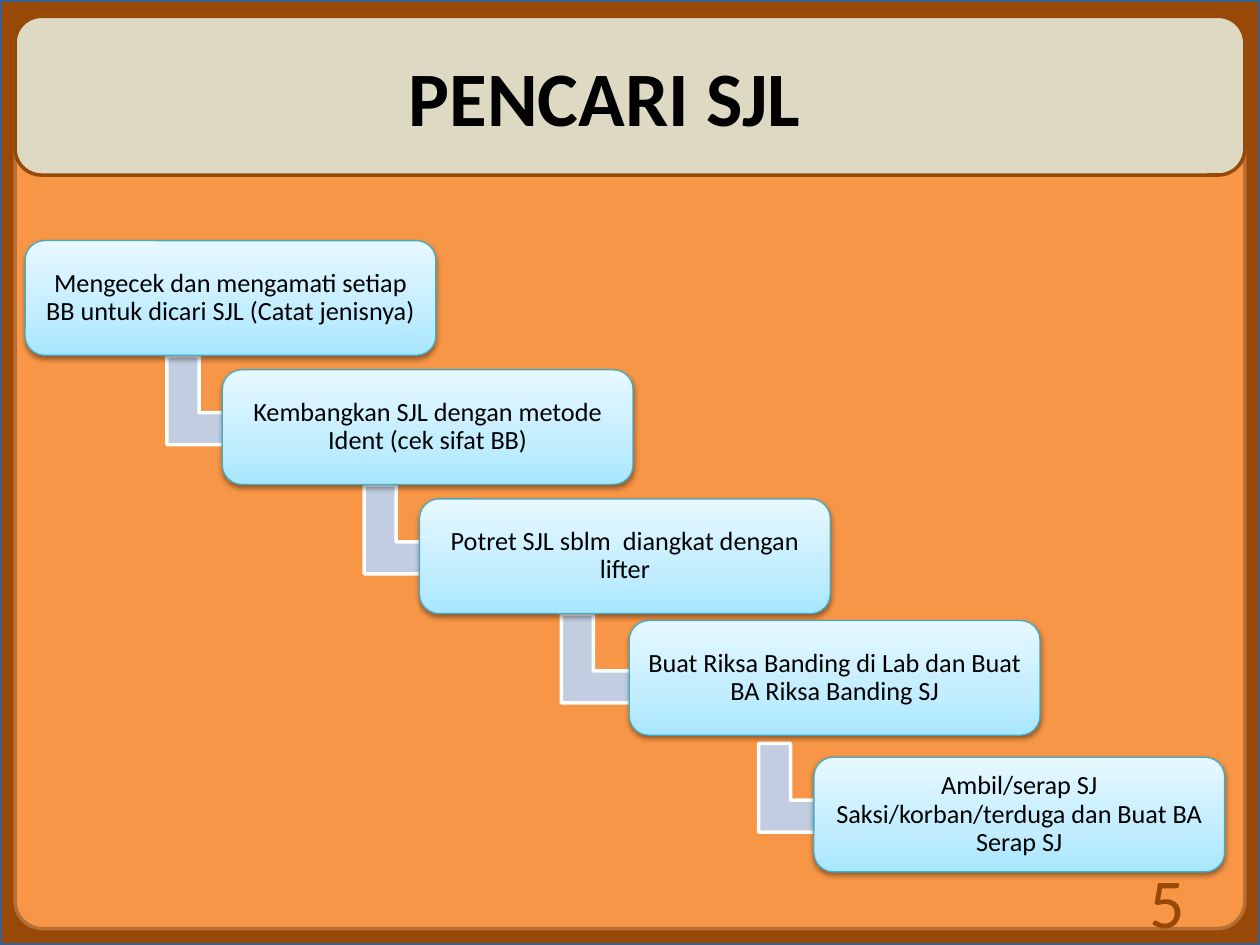
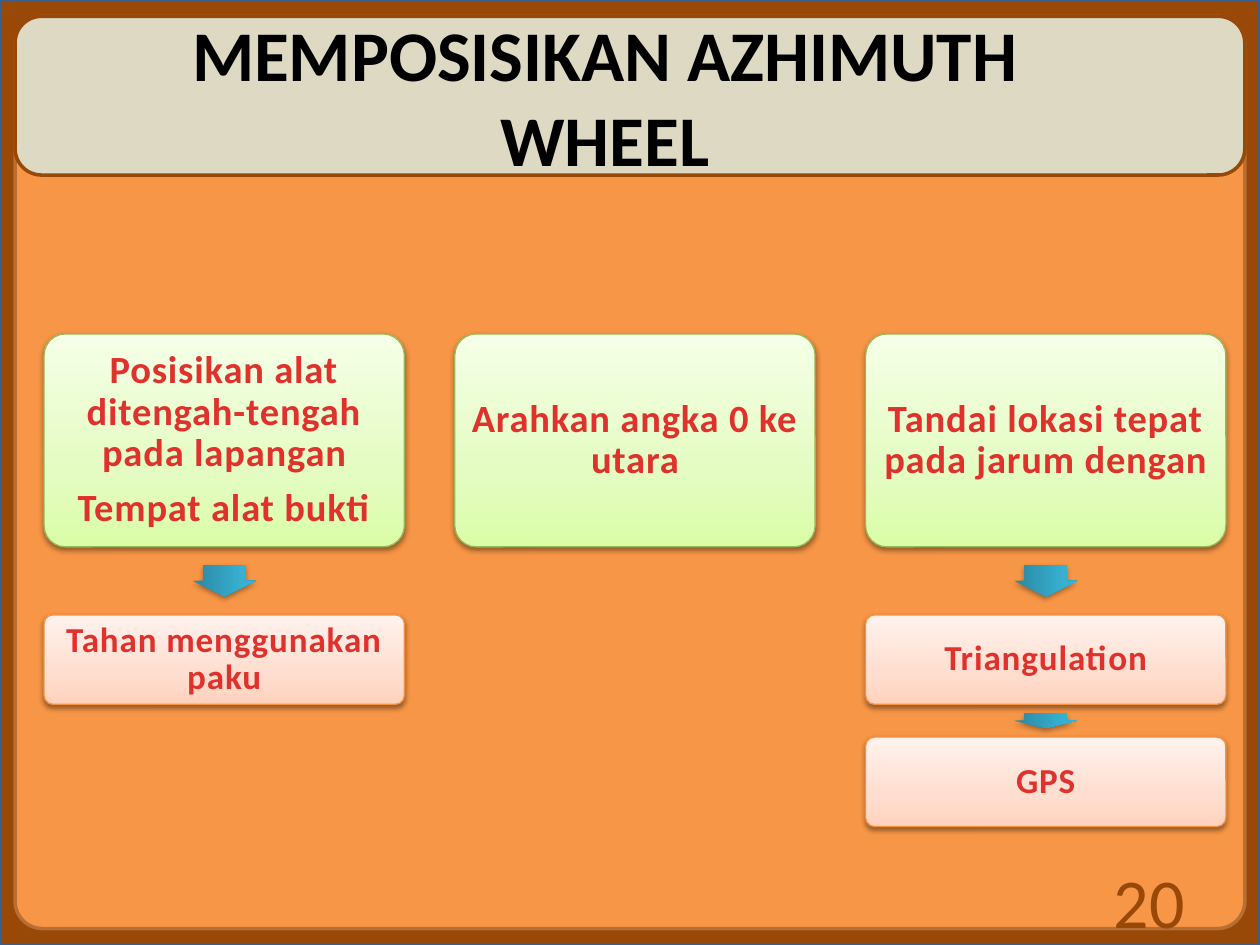
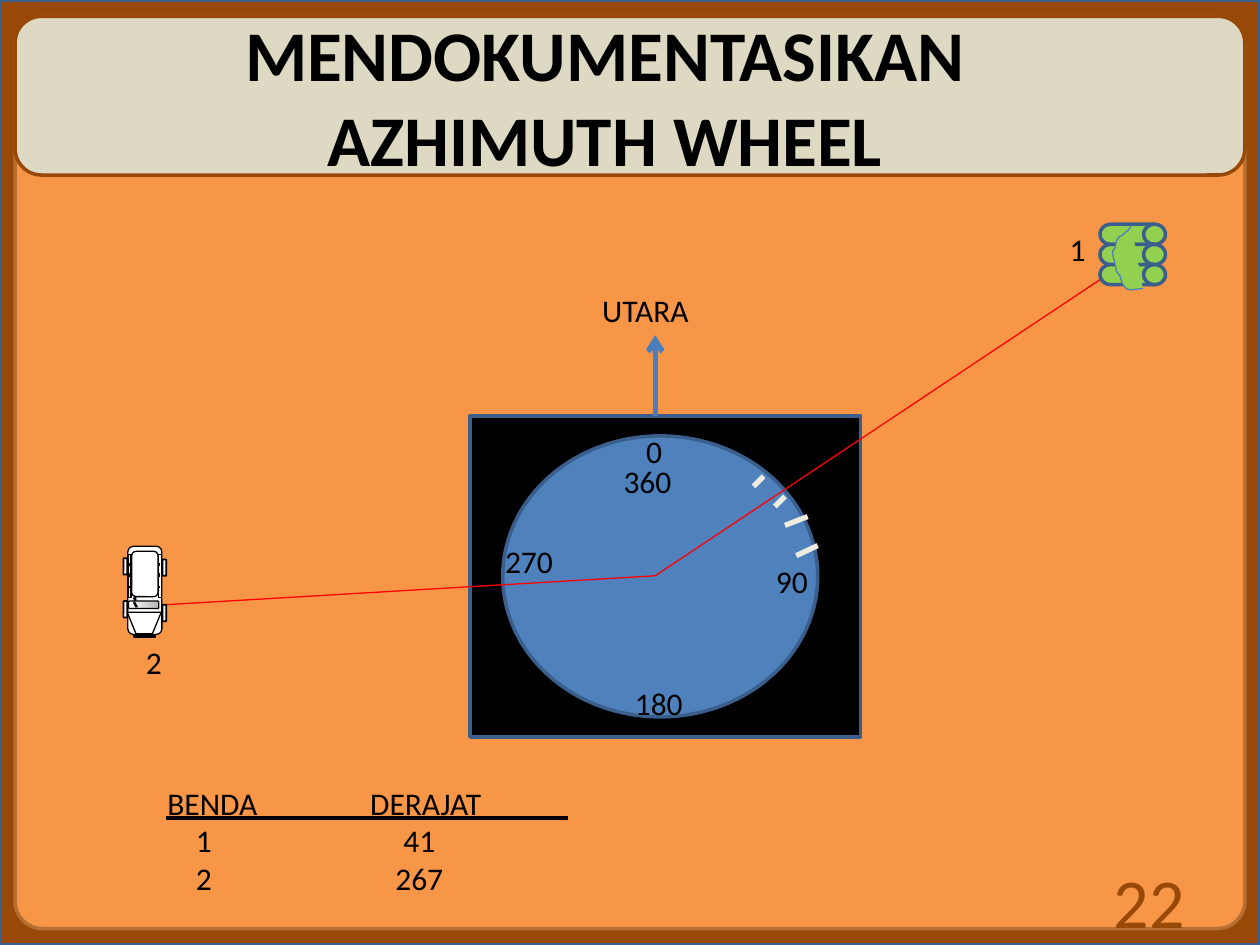
from dataclasses import dataclass

from lxml import etree
from pptx import Presentation
from pptx.dml.color import RGBColor
from pptx.enum.dml import MSO_PATTERN
from pptx.enum.shapes import MSO_CONNECTOR, MSO_SHAPE
from pptx.enum.text import MSO_ANCHOR, MSO_AUTO_SIZE, PP_ALIGN
from pptx.oxml.ns import qn
from pptx.util import Inches, Pt

ROUND, RECT, OVAL = MSO_SHAPE.ROUNDED_RECTANGLE, MSO_SHAPE.RECTANGLE, MSO_SHAPE.OVAL
BENT, ARROW = MSO_SHAPE.BENT_UP_ARROW, MSO_SHAPE.RIGHT_ARROW
DRUM, STAR = MSO_SHAPE.FLOWCHART_DIRECT_ACCESS_STORAGE, MSO_SHAPE.STAR_5_POINT
ZIG_ZAG, STRAIGHT = MSO_PATTERN.ZIG_ZAG, MSO_CONNECTOR.STRAIGHT
CENTER, LEFT, RIGHT = PP_ALIGN.CENTER, PP_ALIGN.LEFT, PP_ALIGN.RIGHT
MIDDLE, TOP = MSO_ANCHOR.MIDDLE, MSO_ANCHOR.TOP


@dataclass(frozen=True)
class Theme:
    font: str = "Calibri"
    black: str = "000000"
    white: str = "FFFFFF"
    brown: str = "984807"
    orange: str = "F79646"
    orange_edge: str = "B76F34"
    sand: str = "DDD9C3"
    cream: str = "EEECE1"
    navy: str = "3A5F8C"
    blue: str = "4F81BD"
    blue_line: str = "4B7EBC"
    elbow: str = "C2CDE1"
    red: str = "FF0000"
    star: str = "ED1332"
    green: str = "92D050"
    card_text: str = "E0322D"
    aqua_edge: str = "46AAC5"
    lime_edge: str = "98B955"
    peach_edge: str = "F69240"
    aqua: tuple = ((0, "A7E6FF"), (35, "C1EDFF"), (100, "E7F8FF"))
    lime: tuple = ((0, "DAFDA7"), (35, "E4FCC2"), (100, "F5FFE7"))
    peach: tuple = ((0, "FFD2BD"), (35, "FFDED0"), (100, "FFF2ED"))
    teal: tuple = ((0, "2A88A2"), (80, "37B1D2"), (100, "34B4D6"))
    glass: tuple = ((0, "FFFFFF"), (100, "B6B6B6"))
    title_size: float = 44
    long_title_size: float = 40.7
    number_size: float = 40
    step_size: float = 15
    head_size: float = 22
    detail_size: float = 20
    label_size: float = 18


THEME = Theme()

# Content
SEARCH_TITLE = "PENCARI SJL"
STEPS = [
    "Mengecek dan mengamati setiap BB untuk dicari SJL (Catat jenisnya)",
    "Kembangkan SJL dengan metode Ident (cek sifat BB)",
    "Potret SJL sblm  diangkat dengan lifter",
    "Buat Riksa Banding di Lab dan Buat BA Riksa Banding SJ",
    "Ambil/serap SJ Saksi/korban/terduga dan Buat BA Serap SJ",
]
POSITION_TITLE = "MEMPOSISIKAN AZHIMUTH WHEEL"
COLUMNS = [
    (["Posisikan alat ditengah-tengah pada lapangan", "Tempat alat bukti"],
     ["Tahan menggunakan paku"]),
    (["Arahkan angka 0 ke utara"], []),
    (["Tandai lokasi tepat pada jarum dengan"], ["Triangulation", "GPS"]),
]
RECORD_TITLE = "MENDOKUMENTASIKAN AZHIMUTH WHEEL"
DIAL_LABELS = [("0", 5.03, 3.38), ("90", 6.06, 4.41), ("180", 4.94, 5.38),
               ("270", 3.91, 4.25), ("360", 4.85, 3.62)]
SCENE_LABELS = [("2", 1.06, 5.05), ("1", 8.39, 1.78), ("UTARA", 4.68, 2.26)]
READINGS = [("BENDA", "DERAJAT"), ("1", "41"), ("2", "267")]

# Drawing data for the wheel slide
DIAL_CENTER = (5.2, 4.57)
SIGHT_LINES = [(8.91, 2.1), (1.3, 4.8)]
DIAL_TICKS = [((5.98, 3.86), (6.06, 3.78)), ((6.15, 4.02), (6.23, 3.94)),
              ((6.23, 4.17), (6.41, 4.1)), ((6.32, 4.41), (6.49, 4.33))]
HOOD = [(1.01, 4.86), (1.08, 5.03), (1.21, 5.03), (1.28, 4.86)]
WHEELS = [(1.24, 4.85), (0.93, 4.82), (1.24, 4.49), (0.93, 4.48)]
WINDOW_BARS = [(4.66, 0.75), (4.56, 2.25), (4.48, 2.25)]
TARP_START = (8.98, 1.79)
TARP_CURVES = [
    ((8.97, 1.8), (8.96, 1.82), (8.95, 1.83)),
    ((8.84, 1.93), (8.93, 1.82), (8.86, 1.91)),
    ((8.86, 1.93), (8.85, 1.95), (8.85, 1.97)),
    ((8.84, 1.98), (8.83, 1.99), (8.83, 2.01)),
    ((8.83, 2.01), (8.86, 2.14), (8.86, 2.15)),
    ((8.87, 2.17), (8.88, 2.18), (8.89, 2.19)),
    ((8.9, 2.23), (8.91, 2.27), (8.94, 2.29)),
    ((8.95, 2.3), (8.97, 2.3), (8.98, 2.3)),
]
TARP_END = (9.07, 2.29)


# Shared helpers
def rgb(value):
    return RGBColor.from_string(value)


def paint(shape, fill, line, width=2, angle=90):
    """Fill with one colour or with gradient stops, and outline the shape."""
    shape.shadow.inherit = False
    if isinstance(fill, str):
        shape.fill.solid()
        shape.fill.fore_color.rgb = rgb(fill)
    else:
        shape.fill.gradient()
        shape.fill.gradient_angle = angle
        stops = shape.element.spPr.find(qn("a:gradFill")).find(qn("a:gsLst"))
        stops.clear()
        for position, color in fill:
            stop = etree.SubElement(stops, qn("a:gs"), pos=str(position * 1000))
            etree.SubElement(stop, qn("a:srgbClr"), val=color)
    if line is None:
        shape.line.fill.background()
    else:
        shape.line.color.rgb = rgb(line)
        shape.line.width = Pt(width)


def add_shape(page, kind, at, fill, line, width=2, adjust=(), turn=0, angle=90):
    shape = page.shapes.add_shape(kind, *map(Inches, at))
    for index, value in enumerate(adjust):
        shape.adjustments[index] = value
    shape.rotation = turn
    paint(shape, fill, line, width, angle)
    return shape


def cast_shadow(shape, opacity=38):
    effects = shape.element.spPr.find(qn("a:effectLst"))
    shadow = etree.SubElement(effects, qn("a:outerShdw"), blurRad=str(Pt(3.1)),
                              dist=str(Pt(1.6)), dir="5400000", rotWithShape="0")
    color = etree.SubElement(shadow, qn("a:srgbClr"), val=THEME.black)
    etree.SubElement(color, qn("a:alpha"), val=str(opacity * 1000))


def add_line(page, start, end, color, width=0.75, arrow=False):
    line = page.shapes.add_connector(STRAIGHT, *map(Inches, start + end))
    line.line.color.rgb = rgb(color)
    line.line.width = Pt(width)
    properties = line.element.spPr
    if arrow:
        etree.SubElement(properties.find(qn("a:ln")), qn("a:tailEnd"), type="arrow")
    etree.SubElement(properties, qn("a:effectLst"))


def add_outline(page, points, fill, line, close):
    corners = [(Inches(x), Inches(y)) for x, y in points]
    builder = page.shapes.build_freeform(*corners[0])
    builder.add_line_segments(corners[1:], close=close)
    paint(builder.convert_to_shape(), fill, line, 0.75)


def write(box, lines, size, color=THEME.black, align=LEFT, anchor=TOP, bold=False,
          wrap=True, margin=None, line_spacing=None, gap=0, tracking=0):
    frame = box.text_frame
    frame.auto_size = MSO_AUTO_SIZE.NONE
    frame.word_wrap = wrap
    frame.vertical_anchor = anchor
    if margin is not None:
        frame.margin_left = frame.margin_right = Inches(margin)
        frame.margin_top = frame.margin_bottom = Inches(margin)
    for index, line in enumerate(lines):
        para = frame.add_paragraph() if index else frame.paragraphs[0]
        para.alignment = align
        if line_spacing:
            para.line_spacing = line_spacing
        if index and gap:
            para.space_before = Pt(gap)
        span = para.add_run()
        span.text = line
        span.font.name = THEME.font
        span.font.size = Pt(size)
        span.font.bold = bold
        span.font.color.rgb = rgb(color)
        if tracking:
            span.font._element.set("spc", str(int(tracking * 100)))


def add_label(page, text, left, top):
    box = page.shapes.add_textbox(*map(Inches, (left, top, 0.3 + 0.13 * len(text), 0.39)))
    write(box, [text], THEME.label_size, wrap=False)


def add_card(page, at, lines, size, fill, edge, adjust, margin, **style):
    card = add_shape(page, ROUND, at, fill, edge, 0.75, [adjust])
    cast_shadow(card)
    write(card, lines, size, align=CENTER, anchor=MIDDLE, margin=margin,
          line_spacing=0.9, **style)


def build_frame(page, layout):
    """Draw the border, panel and title band, then hand them to the layout."""
    parts = [
        add_shape(page, ROUND, (0, 0, 10, 7.5), THEME.brown, THEME.navy, adjust=[0]),
        add_shape(page, ROUND, (0.12, 0.13, 9.76, 7.24), THEME.orange,
                  THEME.orange_edge, adjust=[0.03]),
        add_shape(page, ROUND, (0.12, 0.13, 9.76, 1.26), THEME.sand, THEME.brown),
    ]
    for index, part in enumerate(parts):
        part.element.nvSpPr.cNvPr.set("id", str(101 + index))
        layout.shapes.element.insert(2 + index, part.element)


def add_page(deck, title, number, size=THEME.long_title_size):
    page = deck.slides.add_slide(deck.slide_layouts[5])
    box = page.shapes.title
    box.left, box.top, box.width, box.height = map(Inches, (0.98, 0.13, 7.64, 1.26))
    write(box, [title], size, align=CENTER, anchor=MIDDLE, bold=True)
    corner = page.shapes.add_textbox(*map(Inches, (7.17, 6.95, 2.33, 0.4)))
    write(corner, [number], THEME.number_size, THEME.brown, RIGHT, MIDDLE)
    return page


# Slide: staircase of steps
def build_steps(page):
    left, top, width, height = 0.2, 1.91, 3.26, 0.91
    across, down = (6.46 - left) / 4, (6.01 - top) / 4
    nudges = {3: (0.1, -0.06)}
    for index, step in enumerate(STEPS):
        x, y = left + index * across, top + index * down
        if index < len(STEPS) - 1:
            add_shape(page, BENT, (x + 1.18, y + 0.86, 0.77, 0.88), THEME.elbow,
                      THEME.white, adjust=(0.33, 0.25, 0.36), turn=90)
        shift_x, shift_y = nudges.get(index, (0, 0))
        add_card(page, (x + shift_x, y + shift_y, width, height), [step],
                 THEME.step_size, THEME.aqua, THEME.aqua_edge, 0.17, 0.06)


# Slide: three columns of cards
def build_columns(page):
    left, pitch, width = 0.35, 3.26, 2.86
    head_top, head_height = 2.65, 1.69
    detail_top, detail_pitch, detail_height = 4.88, 0.97, 0.71
    style = dict(color=THEME.card_text, bold=True, tracking=0.5, gap=7.7)
    for column, (heads, details) in enumerate(COLUMNS):
        x = left + column * pitch
        add_card(page, (x, head_top, width, head_height), heads, THEME.head_size,
                 THEME.lime, THEME.lime_edge, 0.1, 0.03, **style)
        bottom = head_top + head_height
        for row, detail in enumerate(details):
            y = detail_top + row * detail_pitch
            length = 0.46 * (y - bottom)
            arrow_at = (x + (width - length) / 2, (bottom + y) / 2 - 0.25, length, 0.5)
            arrow = add_shape(page, ARROW, arrow_at, THEME.teal, None,
                              adjust=(0.67, 0.5), turn=90)
            cast_shadow(arrow, 35)
            add_card(page, (x, y, width, detail_height), [detail], THEME.detail_size,
                     THEME.peach, THEME.peach_edge, 0.1, 0.03, **style)
            bottom = y + detail_height


# Slide: the wheel, the two objects and their readings
def draw_dial(page):
    add_shape(page, RECT, (3.73, 3.3, 3.1, 2.55), THEME.black, THEME.navy)
    add_shape(page, OVAL, (3.99, 3.46, 2.5, 2.23), THEME.blue, THEME.navy)
    add_line(page, (5.2, 3.3), (5.2, 2.66), THEME.blue_line, 3, arrow=True)
    for target in SIGHT_LINES:
        add_line(page, DIAL_CENTER, target, THEME.red)
    for label in DIAL_LABELS:
        add_label(page, *label)
    for start, end in DIAL_TICKS:
        add_line(page, start, end, THEME.cream, 3)


def draw_car(page):
    def part(kind, at, fill=THEME.white, width=0.75, angle=90):
        return add_shape(page, kind, at, fill, THEME.black, width, turn=270, angle=angle)

    part(ROUND, (0.8, 4.55, 0.7, 0.27))
    add_outline(page, HOOD, THEME.white, THEME.black, close=True)
    part(ROUND, (1.11, 4.68, 0.06, 0.24), THEME.glass, angle=270)
    part(ROUND, (0.97, 4.45, 0.36, 0.21))
    for rail_left, bar_left in ((1.1, 1.26), (0.86, 1.02)):
        part(RECT, (rail_left, 4.56, 0.34, 0.02))
        for y, width in WINDOW_BARS:
            add_line(page, (bar_left, y), (bar_left + 0.01, y), THEME.black, width)
    part(RECT, (1.14, 4.96, 0.02, 0.17), THEME.black)
    for left, top in WHEELS:
        wheel = part(ROUND, (left, top, 0.13, 0.03), width=1)
        wheel.fill.patterned()
        wheel.fill.pattern = ZIG_ZAG
        wheel.fill.fore_color.rgb = rgb(THEME.cream)
        wheel.fill.back_color.rgb = rgb(THEME.white)
    for x in (1.06, 1.07):
        add_line(page, (x, 4.78), (x + 0.02, 4.82), THEME.black)
    part(STAR, (1.05, 4.74, 0.04, 0.02), THEME.star)


def draw_drums(page):
    for row in range(3):
        add_shape(page, DRUM, (8.73, 1.78 + row * 0.16, 0.52, 0.16),
                  THEME.green, THEME.navy)
    points = [TARP_START]
    for first, second, end in TARP_CURVES:
        start = points[-1]
        for t in (0.25, 0.5, 0.75, 1):
            s = 1 - t
            points.append(tuple(
                s**3 * a + 3 * s * s * t * b + 3 * s * t * t * c + t**3 * d
                for a, b, c, d in zip(start, first, second, end)))
    add_outline(page, points + [TARP_END], THEME.green, THEME.blue_line, close=False)


def add_readings(page):
    box = page.shapes.add_textbox(*map(Inches, (1.23, 6.17, 3.64, 0.97)))
    header, *rows = ["\t".join(reading) for reading in READINGS]
    write(box, [header] + ["\t" + row for row in rows], THEME.label_size)
    header_stops, row_stops = [(1.61, "l")], [(0.29, "ctr"), (2, "ctr")]
    for index, para in enumerate(box.text_frame.paragraphs):
        tabs = etree.SubElement(para._p.get_or_add_pPr(), qn("a:tabLst"))
        for position, align in row_stops if index else header_stops:
            etree.SubElement(tabs, qn("a:tab"), pos=str(Inches(position)), algn=align)
    add_line(page, (1.32, 6.49), (4.51, 6.49), THEME.black, 2.25)


def build_wheel(page):
    draw_dial(page)
    draw_car(page)
    draw_drums(page)
    for label in SCENE_LABELS:
        add_label(page, *label)
    add_readings(page)


def main():
    deck = Presentation()
    deck.slide_width, deck.slide_height = Inches(10), Inches(7.5)
    search = add_page(deck, SEARCH_TITLE, "5", THEME.title_size)
    build_frame(search, deck.slide_layouts[5])
    build_steps(search)
    build_columns(add_page(deck, POSITION_TITLE, "20"))
    build_wheel(add_page(deck, RECORD_TITLE, "22"))
    deck.save("out.pptx")


if __name__ == "__main__":
    main()
